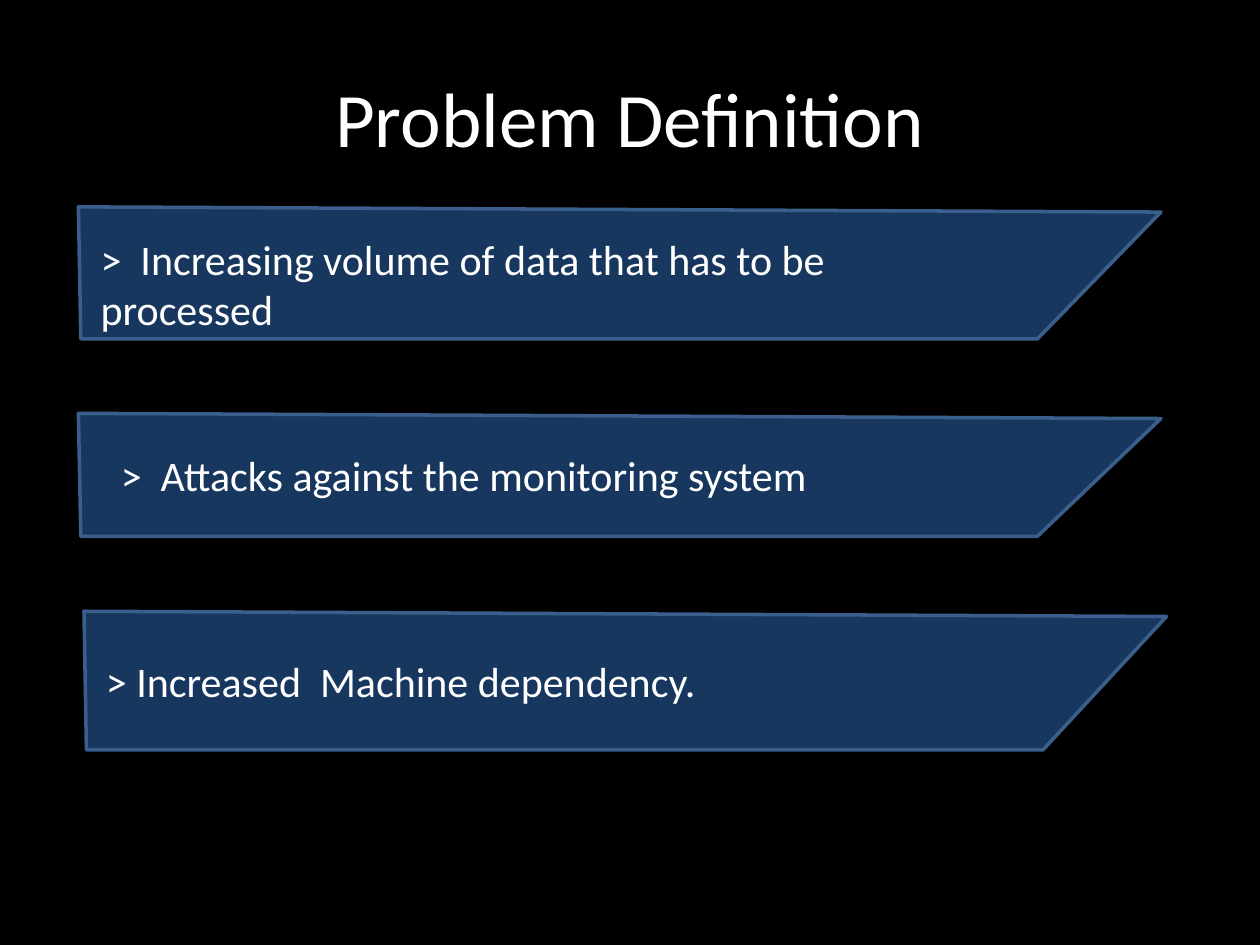
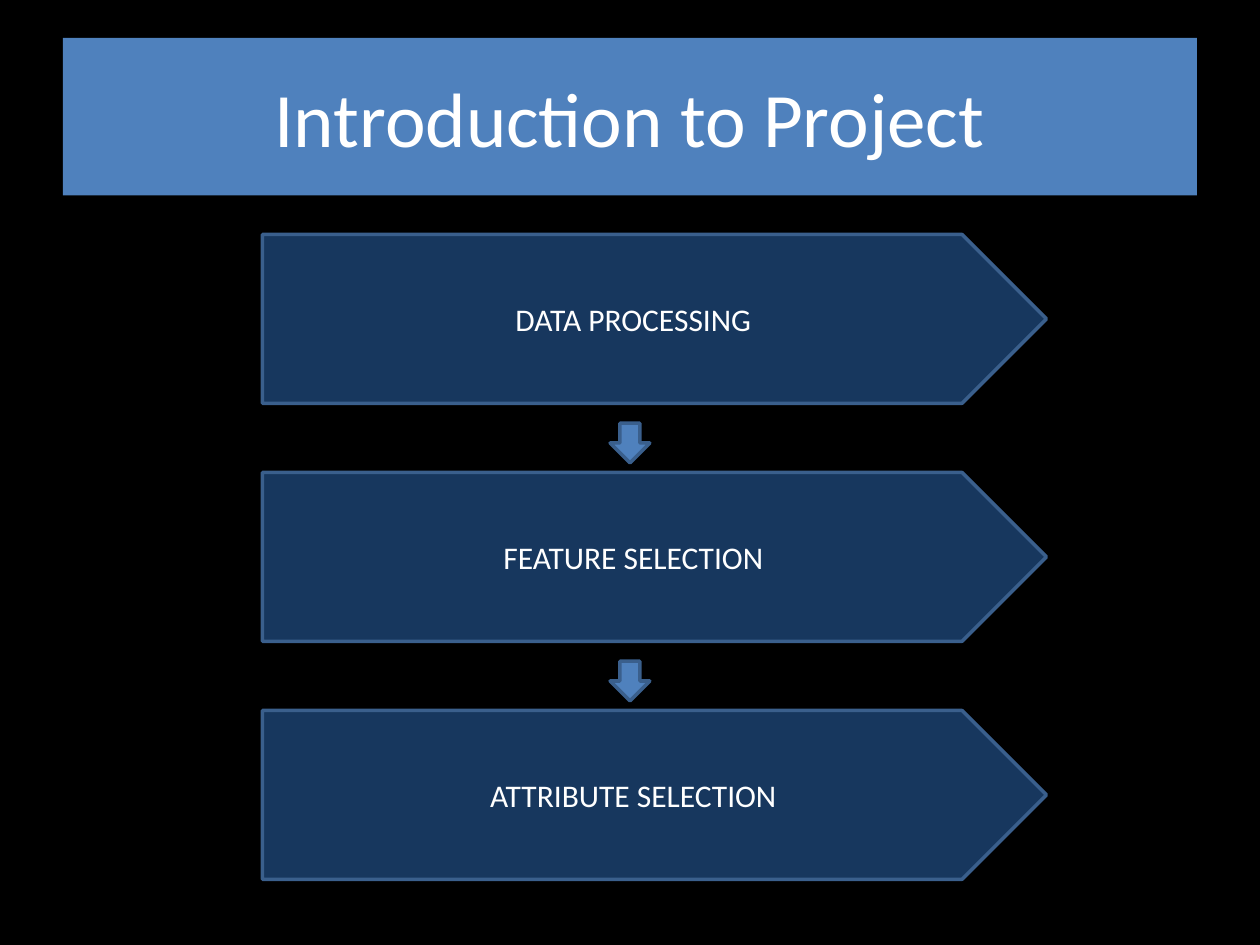
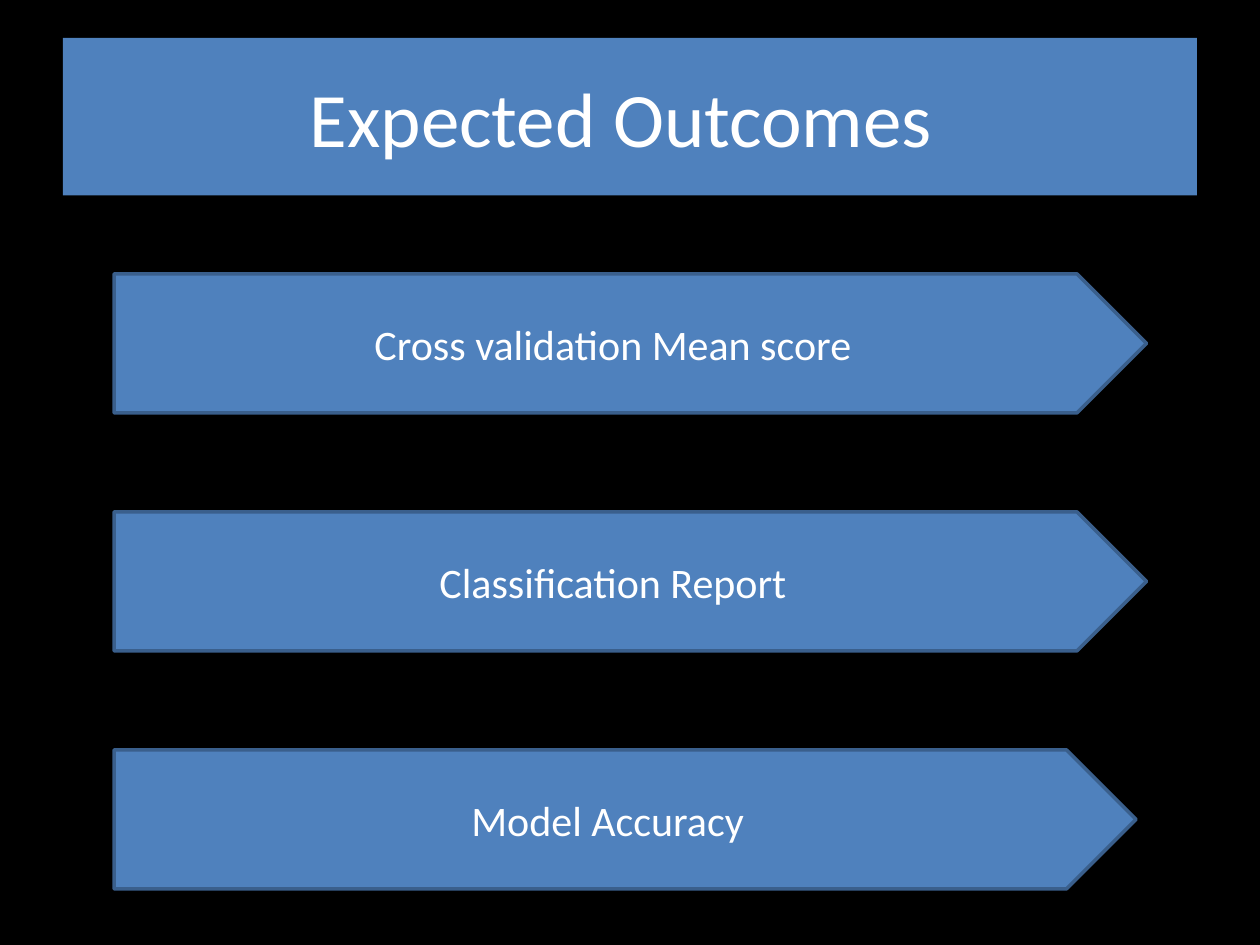
"""Build three dark slides on a project's problem, process and outcomes."""
from dataclasses import dataclass

from pptx import Presentation
from pptx.dml.color import RGBColor
from pptx.enum.shapes import MSO_SHAPE
from pptx.enum.text import MSO_ANCHOR, PP_ALIGN
from pptx.util import Pt

RECTANGLE, PENTAGON, DOWN_ARROW = MSO_SHAPE.RECTANGLE, MSO_SHAPE.PENTAGON, MSO_SHAPE.DOWN_ARROW
LEFT, CENTER = PP_ALIGN.LEFT, PP_ALIGN.CENTER
TOP, MIDDLE = MSO_ANCHOR.TOP, MSO_ANCHOR.MIDDLE


@dataclass(frozen=True)
class Theme:
    background: str = "000000"
    navy: str = "17375E"
    blue: str = "4F81BD"
    outline: str = "3A5F8C"
    text: str = "FFFFFF"
    font: str = "Calibri"
    title_size: int = 44
    body_size: int = 24
    step_size: int = 18
    line_width: int = 2


THEME = Theme()


def paint(shape, fill, outlined=True):
    shape.shadow.inherit = False
    shape.fill.solid()
    shape.fill.fore_color.rgb = RGBColor.from_string(fill)
    if outlined:
        shape.line.color.rgb = RGBColor.from_string(THEME.outline)
        shape.line.width = Pt(THEME.line_width)
    else:
        shape.line.fill.background()


def write(shape, text, size, align=CENTER, anchor=MIDDLE):
    frame = shape.text_frame
    frame.text = text
    frame.word_wrap = True
    frame.vertical_anchor = anchor
    paragraph = frame.paragraphs[0]
    paragraph.alignment = align
    font = paragraph.runs[0].font
    font.name = THEME.font
    font.size = Pt(size)
    font.color.rgb = RGBColor.from_string(THEME.text)


deck = Presentation()
deck.slide_width, deck.slide_height = Pt(720), Pt(540)

slides = []
for heading, band_color in [
    ("Problem Definition", THEME.background),
    ("Introduction to Project", THEME.blue),
    ("Expected Outcomes ", THEME.blue),
]:
    slide = deck.slides.add_slide(deck.slide_layouts[6])
    slide.background.fill.solid()
    slide.background.fill.fore_color.rgb = RGBColor.from_string(THEME.background)
    title_band = slide.shapes.add_shape(RECTANGLE, Pt(36), Pt(21.6), Pt(648), Pt(90))
    paint(title_band, band_color, outlined=False)
    write(title_band, heading, THEME.title_size)
    slides.append(slide)
problem, process, outcomes = slides

banners = []
for left, top, bottom in [(44.8, 118.2, 193.7), (44.8, 236.2, 306.5), (48, 349.3, 428.5)]:
    outline = problem.shapes.build_freeform(Pt(left + 1.4), Pt(bottom))
    outline.add_line_segments([
        (Pt(left), Pt(top)),
        (Pt(left + 618.6), Pt(top + 3)),
        (Pt(left + 548), Pt(bottom)),
    ])
    banner = outline.convert_to_shape()
    paint(banner, THEME.navy)
    banners.append(banner)
write(banners[-1], " > Increased  Machine dependency.", THEME.body_size, LEFT)

for statement, left, top, width, height in [
    (">  Increasing volume of data that has to be processed", 50.4, 129.6, 517.7, 94.3),
    (">  Attacks against the monitoring system", 62, 253.4, 512, 36),
]:
    caption = problem.shapes.add_textbox(Pt(left), Pt(top), Pt(width), Pt(height))
    write(caption, statement, THEME.body_size, LEFT, TOP)

ROW_PITCH = 136
steps = ["DATA PROCESSING", "FEATURE SELECTION", "ATTRIBUTE SELECTION"]
for row, step in enumerate(steps):
    top = 134 + row * ROW_PITCH
    stage = process.shapes.add_shape(PENTAGON, Pt(150), Pt(top), Pt(448), Pt(96.5))
    paint(stage, THEME.navy)
    write(stage, step, THEME.step_size)
    if row < len(steps) - 1:
        arrow = process.shapes.add_shape(DOWN_ARROW, Pt(348.6), Pt(top + 107.8), Pt(22.7), Pt(22.7))
        paint(arrow, THEME.blue)

for row, (outcome, width) in enumerate([
    ("Cross validation Mean score", 590),
    ("Classification Report", 590),
    ("Model Accuracy", 584),
]):
    result = outcomes.shapes.add_shape(
        PENTAGON, Pt(65.2), Pt(156.5 + row * ROW_PITCH), Pt(width), Pt(79.4))
    paint(result, THEME.blue)
    write(result, outcome, THEME.body_size)

deck.save("out.pptx")
